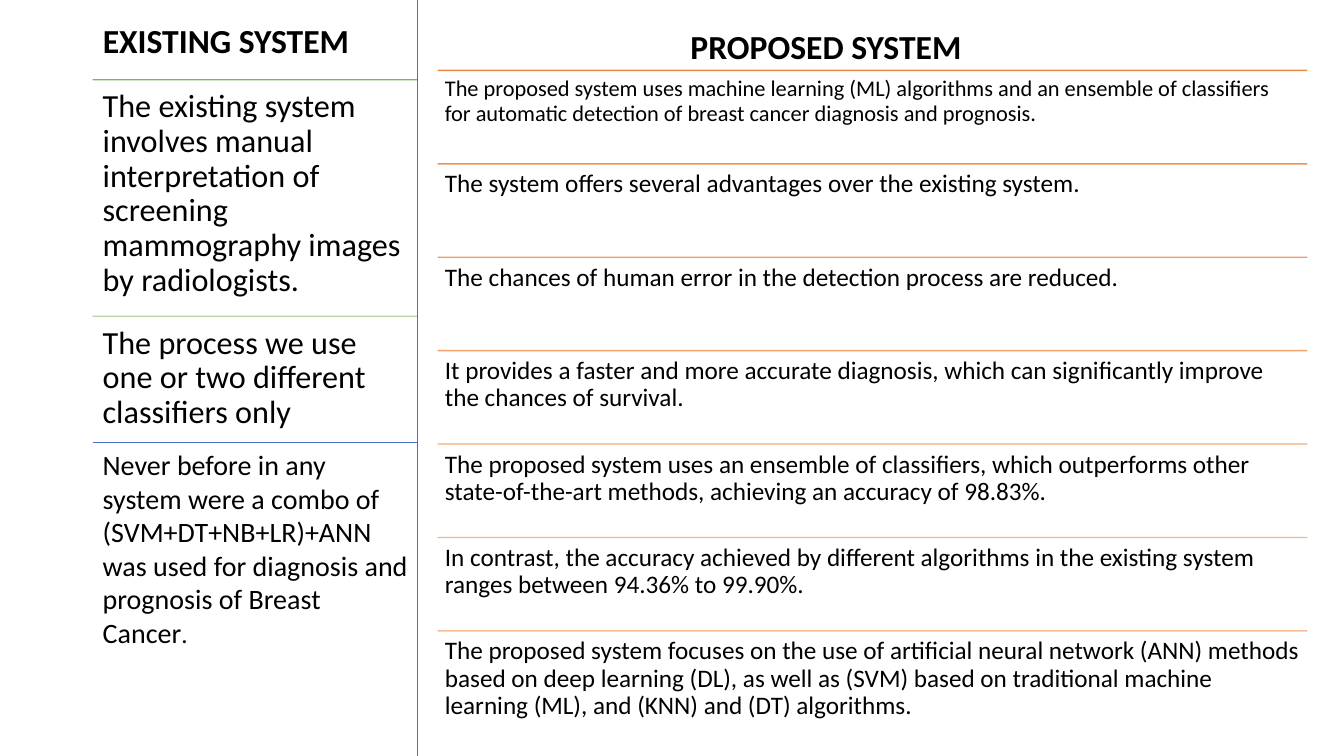
from dataclasses import dataclass

from pptx import Presentation
from pptx.dml.color import RGBColor
from pptx.enum.text import MSO_ANCHOR as Anchor, MSO_AUTO_SIZE as AutoSize
from pptx.oxml.ns import qn
from pptx.util import Pt
from lxml.etree import SubElement


@dataclass(frozen=True)
class Theme:
    font: str = "Calibri"
    text: RGBColor = RGBColor(0x00, 0x00, 0x00)
    green: RGBColor = RGBColor(0x70, 0xAD, 0x47)
    orange: RGBColor = RGBColor(0xED, 0x7D, 0x31)
    blue: RGBColor = RGBColor(0x44, 0x72, 0xC4)
    heading: float = 24
    existing: float = 23
    note: float = 20
    proposed: float = 18
    small: float = 16


@dataclass(frozen=True)
class Heading:
    placeholder: int
    text: str
    left: float
    top: float
    width: float


@dataclass(frozen=True)
class Row:
    text: str
    top: float
    height: float
    size: float


@dataclass(frozen=True)
class Column:
    left: float
    width: float
    inset: float
    colour: RGBColor
    rows: list[Row]


THEME = Theme()
SLIDE_WIDTH, SLIDE_HEIGHT = 960, 540
EXISTING_LEFT, DIVIDER_X = 66.24, 298.2
EXISTING_WIDTH = 232.4
NOTE_TOP = 316.1
PROPOSED_TOP, PROPOSED_PITCH = 50.3, 66.72
OPAQUE_FIRST, OPAQUE_LAST = 90, 50

HEADINGS = [
    Heading(1, "EXISTING SYSTEM", EXISTING_LEFT, 15.1, 408.3),
    Heading(3, "PROPOSED SYSTEM", 486, 19.4, 408.3),
]

PROPOSED_TEXTS = [
    "The proposed system uses machine learning (ML) algorithms and an ensemble of "
    "classifiers for automatic detection of breast cancer diagnosis and prognosis.",
    "The system offers several advantages over the existing system.",
    "The chances of human error in the detection process are reduced.",
    "It provides a faster and more accurate diagnosis, which can significantly "
    "improve the chances of survival.",
    "The proposed system uses an ensemble of classifiers, which outperforms other "
    "state-of-the-art methods, achieving an accuracy of 98.83%.",
    "In contrast, the accuracy achieved by different algorithms in the existing "
    "system ranges between 94.36% to 99.90%.",
    "The proposed system focuses on the use of artificial neural network (ANN) methods "
    "based on deep learning (DL), as well as (SVM) based on traditional machine "
    "learning (ML), and (KNN) and (DT) algorithms.",
]

COLUMNS = [
    Column(EXISTING_LEFT, EXISTING_WIDTH, 7.2, THEME.green, [
        Row("The existing system involves manual interpretation of screening "
            "mammography images by radiologists.", 57, 168.7, THEME.existing),
        Row("The process we use one or two different classifiers only",
            225.9, 265, THEME.existing),
    ]),
    Column(312.6, 621.2, 5.2, THEME.orange, [
        Row(text, PROPOSED_TOP + index * PROPOSED_PITCH, PROPOSED_PITCH,
            THEME.proposed if index else THEME.small)
        for index, text in enumerate(PROPOSED_TEXTS)
    ]),
]


def style_paragraph(paragraph, size: float, bold: bool = False) -> None:
    font = paragraph.font
    font.name, font.size, font.bold = THEME.font, Pt(size), bold
    font.color.rgb = THEME.text


def add_rule(shapes, start: tuple[float, float], end: tuple[float, float],
             colour: RGBColor, width: float, opacity: float = 100) -> None:
    rule = shapes.add_connector(1, *map(Pt, start + end))
    rule.line.color.rgb = colour
    rule.line.width = Pt(width)
    properties = rule._element.spPr
    if opacity < 100:
        colour_element = next(properties.iter(qn("a:srgbClr")))
        SubElement(colour_element, qn("a:alpha")).set("val", str(round(opacity * 1000)))
    SubElement(properties, qn("a:effectLst"))


def add_text(shapes, text: str, left: float, top: float, width: float,
             height: float, size: float, inset: float | None = None):
    box = shapes.add_textbox(Pt(left), Pt(top), Pt(width), Pt(height))
    frame = box.text_frame
    frame.word_wrap = True
    if inset is not None:
        frame.margin_left = frame.margin_right = Pt(inset)
        frame.margin_top = frame.margin_bottom = Pt(inset)
    paragraph = frame.paragraphs[0]
    paragraph.add_run().text = text
    style_paragraph(paragraph, size)
    return frame


def fill_heading(slide, heading: Heading) -> None:
    shape = slide.placeholders[heading.placeholder]
    shape.left, shape.top = Pt(heading.left), Pt(heading.top)
    shape.width, shape.height = Pt(heading.width), Pt(31.7)
    frame = shape.text_frame
    frame.text = heading.text
    frame.auto_size = AutoSize.NONE
    frame.vertical_anchor = Anchor.BOTTOM
    paragraph = frame.paragraphs[0]
    paragraph.line_spacing = 0.8
    paragraph.space_before = Pt(10)
    style_paragraph(paragraph, THEME.heading, bold=True)


def add_column(slide, column: Column) -> None:
    shapes = slide.shapes.add_group_shape().shapes
    fade = (OPAQUE_FIRST - OPAQUE_LAST) / (len(column.rows) - 1)
    for index, row in enumerate(column.rows):
        add_rule(shapes, (column.left, row.top), (column.left + column.width, row.top),
                 column.colour, 1, OPAQUE_FIRST - index * fade)
        frame = add_text(shapes, row.text, column.left, row.top, column.width,
                         row.height, row.size, column.inset)
        frame.paragraphs[0].line_spacing = 0.9


def main() -> None:
    presentation = Presentation()
    presentation.slide_width, presentation.slide_height = Pt(SLIDE_WIDTH), Pt(SLIDE_HEIGHT)
    slide = presentation.slides.add_slide(
        presentation.slide_layouts.get_by_name("Comparison"))

    # Headings, and removal of the placeholders left empty
    for heading in HEADINGS:
        fill_heading(slide, heading)
    for placeholder in list(slide.placeholders):
        if not placeholder.text_frame.text:
            placeholder._element.getparent().remove(placeholder._element)

    # Ruled lists
    for column in COLUMNS:
        add_column(slide, column)

    # Divider and closing note
    add_rule(slide.shapes, (DIVIDER_X, 0), (DIVIDER_X, SLIDE_HEIGHT), THEME.blue, 0.5)
    add_rule(slide.shapes, (EXISTING_LEFT, NOTE_TOP), (DIVIDER_X, NOTE_TOP), THEME.blue, 0.5)
    note = add_text(
        slide.shapes,
        "Never before in any system were a combo of (SVM+DT+NB+LR)+ANN was used for "
        "diagnosis and prognosis of Breast Cancer",
        EXISTING_LEFT, NOTE_TOP, EXISTING_WIDTH, 152.6, THEME.note)
    note.auto_size = AutoSize.SHAPE_TO_FIT_TEXT
    full_stop = note.paragraphs[0].add_run()
    full_stop.text = "."
    full_stop.font.size = Pt(THEME.proposed)

    presentation.save("out.pptx")


if __name__ == "__main__":
    main()
